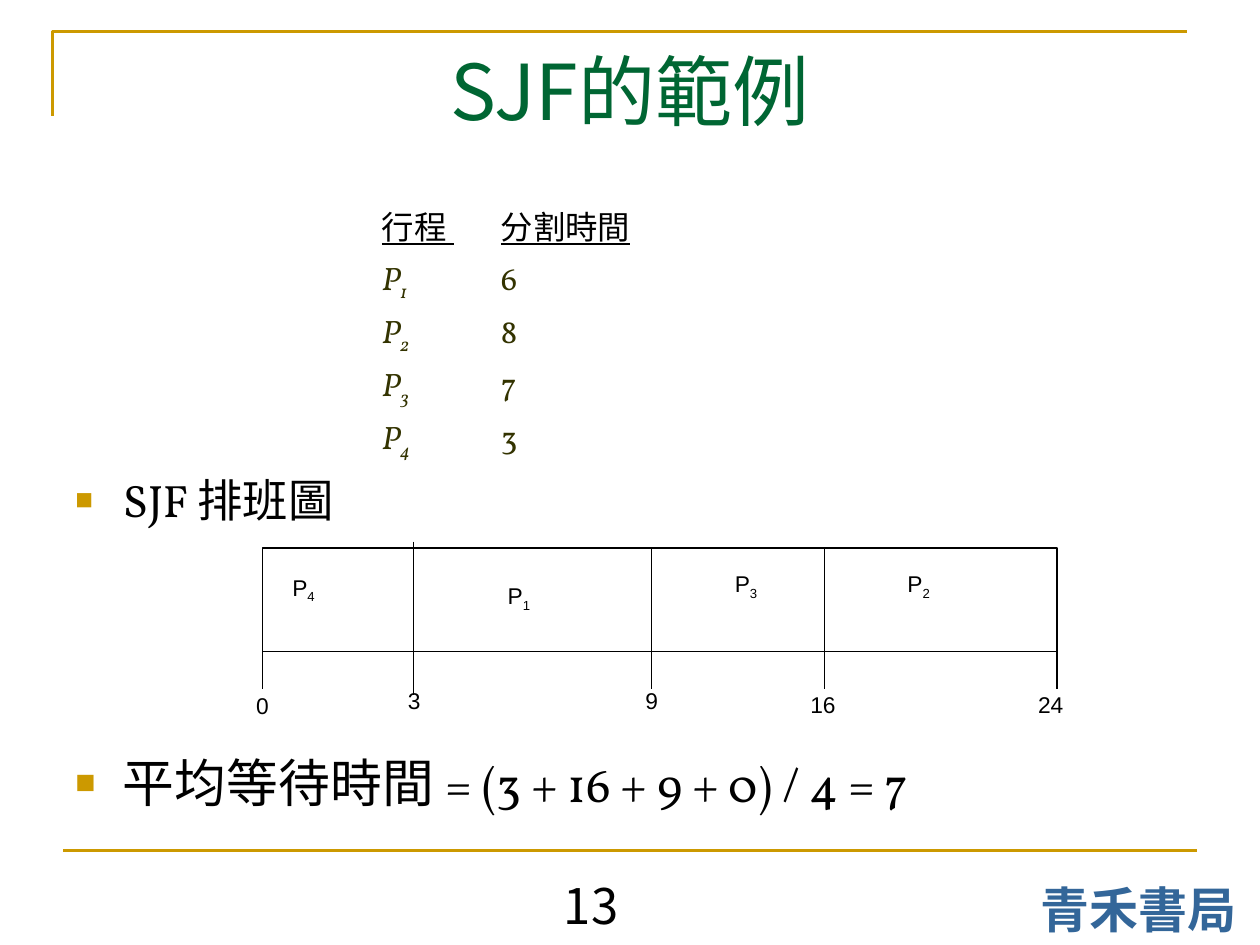
"""Build the slide with the SJF scheduling example."""
from dataclasses import dataclass

from lxml import etree
from pptx import Presentation
from pptx.dml.color import RGBColor
from pptx.enum.shapes import MSO_CONNECTOR, MSO_SHAPE
from pptx.enum.text import MSO_ANCHOR, PP_ALIGN
from pptx.oxml.ns import qn
from pptx.util import Cm, Pt

STRAIGHT = MSO_CONNECTOR.STRAIGHT
RECTANGLE = MSO_SHAPE.RECTANGLE
LEFT, CENTER = PP_ALIGN.LEFT, PP_ALIGN.CENTER
TOP, MIDDLE = MSO_ANCHOR.TOP, MSO_ANCHOR.MIDDLE


@dataclass(frozen=True)
class Theme:
    gold: str = "CC9900"
    green: str = "006633"
    blue: str = "336699"
    olive: str = "333300"
    black: str = "000000"
    white: str = "FFFFFF"
    sans: str = "Noto Sans CJK SC"
    serif: str = "Vollkorn"
    label: str = "Arial"
    title_size: float = 44
    footer_size: float = 28
    table_size: float = 18.5
    chart_size: float = 25.9
    wait_size: float = 29.6
    formula_size: float = 27.8
    label_size: float = 13


@dataclass(frozen=True)
class Box:
    left: float
    top: float
    width: float
    height: float


@dataclass(frozen=True)
class Span:
    text: str
    size: float
    font: str
    color: str = "000000"
    bold: bool = False
    italic: bool = False
    underline: bool = False
    subscript: bool = False


@dataclass(frozen=True)
class Line:
    x1: float
    y1: float
    x2: float
    y2: float


@dataclass(frozen=True)
class GanttLabel:
    text: str
    x: float
    y: float
    subscript: str = ""


THEME = Theme()
BAR = Box(5.29, 11.05, 16.02, 2.08)
BAR_BOTTOM = BAR.top + BAR.height
DIVIDERS = (13.13, 16.62)
TICKS = (BAR.left, *DIVIDERS, BAR.left + BAR.width)
TICK_LENGTH = 0.76
GANTT_LINES = (
    *(Line(x, BAR.top, x, BAR_BOTTOM) for x in DIVIDERS),
    *(Line(x, BAR_BOTTOM, x, BAR_BOTTOM + TICK_LENGTH) for x in TICKS),
    Line(8.34, 12.73, 8.34, 13.49),
    Line(8.34, 10.92, 8.34, 14.02),
)
GANTT_LABELS = (
    GanttLabel("P", 6.12, 11.87, "4"),
    GanttLabel("P", 10.46, 12.05, "1"),
    GanttLabel("P", 15.04, 11.8, "3"),
    GanttLabel("P", 18.52, 11.8, "2"),
    GanttLabel("0", 5.29, 14.22),
    GanttLabel("3", 8.35, 14.12),
    GanttLabel("9", 13.14, 14.12),
    GanttLabel("16", 16.59, 14.2),
    GanttLabel("24", 21.18, 14.2),
)
BURST_TIMES = (6, 8, 7, 3)
BURST_TAB = 2.4
HEADER_GAP, ROW_GAP = 7, 5
BULLET_INDENT = 0.96


def add_spans(paragraph, spans: tuple[Span, ...]) -> None:
    """Write formatted runs into a paragraph."""
    for span in spans:
        run = paragraph.add_run()
        run.text = span.text
        font = run.font
        font.name, font.size = span.font, Pt(span.size)
        font.bold, font.italic, font.underline = span.bold, span.italic, span.underline
        font.color.rgb = RGBColor.from_string(span.color)
        properties = run._r.get_or_add_rPr()
        if span.subscript:
            properties.set("baseline", "-25000")
        east_asian = etree.SubElement(properties, qn("a:ea"))
        east_asian.set("typeface", THEME.sans)


def add_text(slide, box: Box, *spans: Span, align=CENTER, anchor=TOP, inset=True):
    """Add a text box and return its text frame."""
    shape = slide.shapes.add_textbox(Cm(box.left), Cm(box.top), Cm(box.width), Cm(box.height))
    frame = shape.text_frame
    frame.word_wrap = True
    frame.vertical_anchor = anchor
    if not inset:
        frame.margin_left = frame.margin_right = frame.margin_top = frame.margin_bottom = 0
    frame.paragraphs[0].alignment = align
    add_spans(frame.paragraphs[0], spans)
    return frame


def add_line(slide, line: Line, color: str, width: float) -> None:
    """Draw a straight line without a shadow."""
    connector = slide.shapes.add_connector(
        STRAIGHT, Cm(line.x1), Cm(line.y1), Cm(line.x2), Cm(line.y2))
    connector.line.color.rgb = RGBColor.from_string(color)
    connector.line.width = Pt(width)
    etree.SubElement(connector._element.spPr, qn("a:effectLst"))


def set_tab(paragraph, stop: float) -> None:
    """Give a paragraph a left tab stop."""
    tabs = etree.SubElement(paragraph._p.get_or_add_pPr(), qn("a:tabLst"))
    etree.SubElement(tabs, qn("a:tab"), pos=str(int(Cm(stop))), algn="l")


def add_bullet(slide, top: float, *spans: Span) -> None:
    """Add a line of text with a hanging square bullet."""
    frame = add_text(slide, Box(1.52, top, 22, 1.5), *spans, align=LEFT, inset=False)
    properties = frame.paragraphs[0]._p.get_or_add_pPr()
    properties.set("marL", str(int(Cm(BULLET_INDENT))))
    properties.set("indent", str(-int(Cm(BULLET_INDENT))))
    color = etree.SubElement(properties, qn("a:buClr"))
    etree.SubElement(color, qn("a:srgbClr"), val=THEME.gold)
    etree.SubElement(properties, qn("a:buSzPct"), val="65000")
    etree.SubElement(properties, qn("a:buFont"), typeface=THEME.label)
    etree.SubElement(properties, qn("a:buChar"), char="■")


def add_frame(slide) -> None:
    """Draw the gold corner and footer rule."""
    builder = slide.shapes.build_freeform(Cm(1.06), Cm(2.33))
    builder.add_line_segments([(Cm(1.06), Cm(0.64)), (Cm(23.92), Cm(0.64))], close=False)
    corner = builder.convert_to_shape()
    corner.shadow.inherit = False
    corner.fill.background()
    corner.line.color.rgb = RGBColor.from_string(THEME.gold)
    corner.line.width = Pt(1.5)
    add_line(slide, Line(1.27, 17.15, 24.13, 17.15), THEME.gold, 1.5)


def add_process_list(slide) -> None:
    """List the processes and their burst times in tabbed columns."""
    size, font = THEME.table_size, THEME.serif
    frame = add_text(
        slide, Box(7.7, 4.17, 7, 5.3),
        Span("行程 ", size, font, underline=True),
        Span("\t", size, font),
        Span("分割時間", size, font, underline=True),
        align=LEFT, inset=False)
    set_tab(frame.paragraphs[0], BURST_TAB)
    for number, burst in enumerate(BURST_TIMES, start=1):
        paragraph = frame.add_paragraph()
        set_tab(paragraph, BURST_TAB)
        paragraph.space_before = Pt(HEADER_GAP if number == 1 else ROW_GAP)
        add_spans(paragraph, (
            Span("P", size, font, THEME.olive, italic=True),
            Span(str(number), size, font, THEME.olive, italic=True, subscript=True),
            Span(f"\t{burst}", size, font, THEME.olive)))


def add_gantt(slide) -> None:
    """Draw the schedule bar with its lines and labels."""
    bar = slide.shapes.add_shape(
        RECTANGLE, Cm(BAR.left), Cm(BAR.top), Cm(BAR.width), Cm(BAR.height))
    bar.shadow.inherit = False
    bar.fill.solid()
    bar.fill.fore_color.rgb = RGBColor.from_string(THEME.white)
    bar.line.color.rgb = RGBColor.from_string(THEME.black)
    bar.line.width = Pt(0.75)
    for line in GANTT_LINES:
        add_line(slide, line, THEME.black, 0.75)
    for label in GANTT_LABELS:
        spans = [Span(label.text, THEME.label_size, THEME.label)]
        if label.subscript:
            spans.append(Span(label.subscript, THEME.label_size, THEME.label, subscript=True))
        box = Box(label.x - 0.5, label.y - 0.44, 1, 0.88)
        add_text(slide, box, *spans, anchor=MIDDLE, inset=False)


def main() -> None:
    """Build and save the presentation."""
    presentation = Presentation()
    presentation.slide_width, presentation.slide_height = Cm(25.4), Cm(19.05)
    slide = presentation.slides.add_slide(presentation.slide_layouts[6])
    add_frame(slide)
    add_text(slide, Box(20.5, 17.6, 4.9, 1.45),
             Span("青禾書局", THEME.footer_size, THEME.sans, THEME.blue, bold=True))
    add_text(slide, Box(10.11, 17.52, 3.61, 1.53), Span("13", THEME.footer_size, THEME.sans))
    add_text(slide, Box(1.27, 0.76, 22.86, 3.18),
             Span("SJF的範例", THEME.title_size, THEME.sans, THEME.green))
    add_process_list(slide)
    add_bullet(slide, 9.52, Span("SJF 排班圖", THEME.chart_size, THEME.serif))
    add_bullet(slide, 15.13,
               Span("平均等待時間 ", THEME.wait_size, THEME.serif),
               Span("= (3 + 16 + 9 + 0) / 4 = 7", THEME.formula_size, THEME.serif))
    add_gantt(slide)
    presentation.save("out.pptx")


if __name__ == "__main__":
    main()
